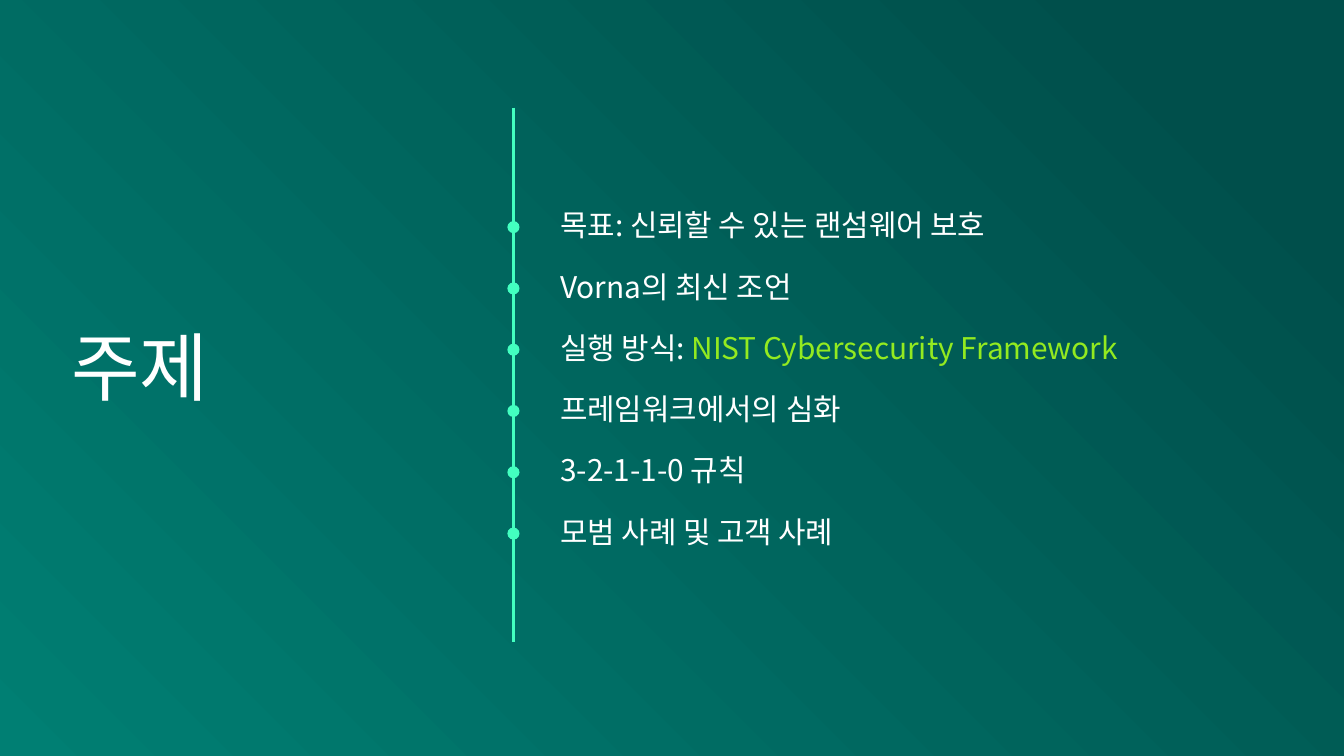
from dataclasses import dataclass

from lxml.etree import SubElement
from pptx import Presentation
from pptx.dml.color import RGBColor
from pptx.enum.shapes import MSO_CONNECTOR as Connector, MSO_SHAPE as Shape
from pptx.enum.text import MSO_ANCHOR as Anchor, MSO_AUTO_SIZE as AutoSize, PP_ALIGN as Align
from pptx.oxml.ns import qn
from pptx.slide import Slide
from pptx.text.text import TextFrame, _Run as Run
from pptx.util import Inches, Pt

COLORS = {
    "bright": "007F73",
    "deep": "004F4B",
    "mint": "43FFC0",
    "lime": "93EA20",
    "white": "FFFFFF",
}
FONT = "Noto Sans CJK KR"
WIDTH = 10
HEIGHT = WIDTH * 9 / 16
AXIS_X, AXIS_TOP, AXIS_BOTTOM = 3.82, 0.8, 4.78
FIRST_ROW, LAST_ROW = 1.69, 3.97
DOT = 0.09
TOPIC_LEFT, TOPIC_WIDTH, TOPIC_HEIGHT = 4.07, 5.38, 0.24


@dataclass(frozen=True)
class Topic:
    label: str
    accent: str = ""


TOPICS = [
    Topic("목표: 신뢰할 수 있는 랜섬웨어 보호"),
    Topic("Vorna의 최신 조언"),
    Topic("실행 방식: ", "NIST Cybersecurity Framework"),
    Topic("프레임워크에서의 심화"),
    Topic("3-2-1-1-0 규칙"),
    Topic("모범 사례 및 고객 사례"),
]
ROW_PITCH = (LAST_ROW - FIRST_ROW) / (len(TOPICS) - 1)


def color(key: str) -> RGBColor:
    return RGBColor.from_string(COLORS[key])


def style_run(run: Run, size: float, key: str) -> None:
    run.font.size = Pt(size)
    run.font.color.rgb = color(key)
    run.font.name = FONT
    SubElement(run.font._element, qn("a:ea"), typeface=FONT)


def style_frame(frame: TextFrame, size: float) -> None:
    frame.word_wrap = True
    frame.auto_size = AutoSize.NONE
    frame.vertical_anchor = Anchor.MIDDLE
    for paragraph in frame.paragraphs:
        paragraph.alignment = Align.LEFT
        paragraph.line_spacing = 0.9
        paragraph.space_before = Pt(0)
        for run in paragraph.runs:
            style_run(run, size, "white")


def paint_background(slide: Slide) -> None:
    fill = slide.background.fill
    fill.gradient()
    fill.gradient_angle = 45
    for stop, key, position in zip(fill.gradient_stops, ("bright", "deep"), (0, 0.89)):
        stop.color.rgb = color(key)
        stop.position = position


def add_heading(slide: Slide, text: str) -> None:
    heading = slide.shapes.title
    heading.left, heading.top = Inches(0.43), Inches(2.5)
    heading.width, heading.height = Inches(2.23), Inches(0.61)
    frame = heading.text_frame
    frame.text = text
    frame.margin_left = frame.margin_right = Inches(0.1)
    frame.margin_top, frame.margin_bottom = 0, Inches(0.08)
    style_frame(frame, 40)


def add_dot(slide: Slide, center: float) -> None:
    dot = slide.shapes.add_shape(
        Shape.OVAL, Inches(AXIS_X - DOT / 2), Inches(center - DOT / 2), Inches(DOT), Inches(DOT)
    )
    dot.shadow.inherit = False
    dot.fill.solid()
    dot.fill.fore_color.rgb = color("mint")
    dot.line.fill.background()


def add_axis(slide: Slide) -> None:
    axis = slide.shapes.add_connector(
        Connector.STRAIGHT, Inches(AXIS_X), Inches(AXIS_TOP), Inches(AXIS_X), Inches(AXIS_BOTTOM)
    )
    axis.line.color.rgb = color("mint")
    axis.line.width = Pt(1.5)
    SubElement(axis._element.spPr, qn("a:effectLst"))


def add_topic(slide: Slide, topic: Topic, center: float) -> None:
    label = slide.shapes.add_textbox(
        Inches(TOPIC_LEFT), Inches(center - TOPIC_HEIGHT / 2), Inches(TOPIC_WIDTH), Inches(TOPIC_HEIGHT)
    )
    frame = label.text_frame
    frame.text = topic.label
    style_frame(frame, 16)
    if topic.accent:
        accent = frame.paragraphs[0].add_run()
        accent.text = topic.accent
        style_run(accent, 16, "lime")


def main() -> None:
    deck = Presentation()
    deck.slide_width, deck.slide_height = Inches(WIDTH), Inches(HEIGHT)
    slide = deck.slides.add_slide(deck.slide_layouts[5])
    paint_background(slide)
    add_heading(slide, "주제")
    centers = [FIRST_ROW + ROW_PITCH * row for row in range(len(TOPICS))]
    for center in centers:
        add_dot(slide, center)
    add_axis(slide)
    for topic, center in zip(TOPICS, centers):
        add_topic(slide, topic, center)
    deck.save("out.pptx")


if __name__ == "__main__":
    main()
